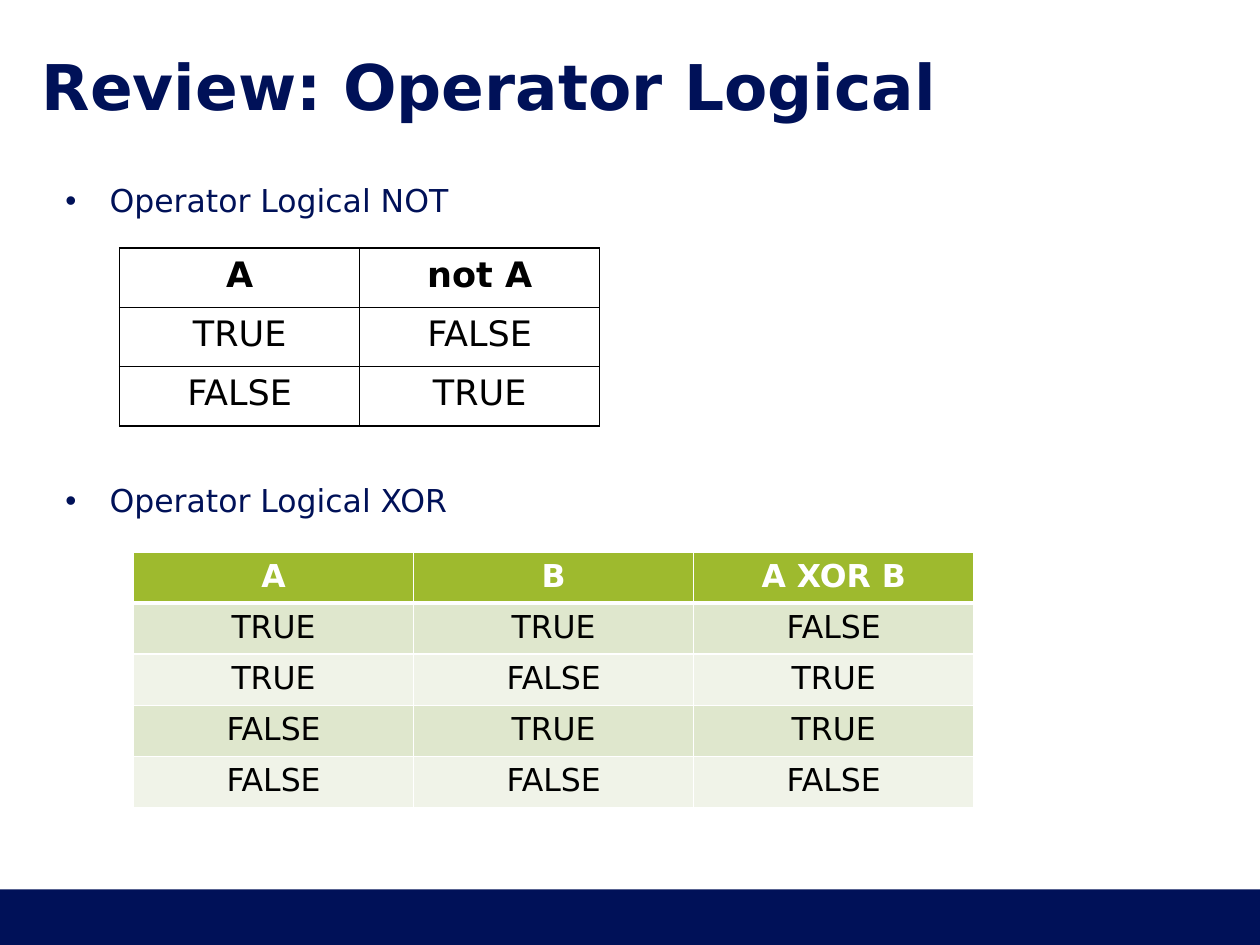
"""Build the logical operator review slide with its two truth tables."""
from dataclasses import dataclass

from lxml.etree import SubElement
from pptx import Presentation
from pptx.dml.color import RGBColor as Rgb
from pptx.enum.shapes import MSO_SHAPE as Preset
from pptx.enum.text import MSO_ANCHOR as Anchor, MSO_AUTO_SIZE as AutoSize, PP_ALIGN as Align
from pptx.oxml.ns import qn
from pptx.util import Inches, Pt

FONT = "DejaVu Sans"
COLORS = {
    "navy": "001158", "black": "000000", "white": "FFFFFF",
    "green": "9EBA2E", "sage": "DFE7CD", "pale": "F0F3E8",
}


@dataclass(frozen=True)
class TruthTable:
    left: float
    top: float
    column_width: float
    row_height: float
    size: int
    space_before: int
    border: str
    header_text: str
    header_border: int
    fills: tuple
    rows: tuple


TABLES = (
    TruthTable(0.95, 1.97, 1.905, 0.47, 20, 4, "black", "black", 1, (),
               (("A", "not A"), ("TRUE", "FALSE"), ("FALSE", "TRUE"))),
    TruthTable(1.06, 4.38, 2.223, 0.406, 18, 0, "white", "white", 3,
               ("green", "sage", "pale", "sage", "pale"),
               (("A", "B", "A XOR B"), ("TRUE", "TRUE", "FALSE"),
                ("TRUE", "FALSE", "TRUE"), ("FALSE", "TRUE", "TRUE"),
                ("FALSE", "FALSE", "FALSE"))),
)


def set_all(target, values: dict) -> None:
    for name, value in values.items():
        setattr(target, name, value)


def write(para, text: str, size: int, color: str, bold: bool = False) -> None:
    span = para.add_run()
    span.text = text
    set_all(span.font, {"name": FONT, "size": Pt(size), "bold": bold})
    span.font.color.rgb = Rgb.from_string(COLORS[color])


def place(box, left: float, top: float, width: float, height: float) -> None:
    set_all(box, {"left": Inches(left), "top": Inches(top),
                  "width": Inches(width), "height": Inches(height)})


def set_frame(box, anchor, left: float, top: float, right: float) -> None:
    set_all(box.text_frame, {
        "auto_size": AutoSize.NONE, "word_wrap": True, "vertical_anchor": anchor,
        "margin_left": Inches(left), "margin_top": Inches(top),
        "margin_right": Inches(right), "margin_bottom": 0,
    })


def add_bullet(para) -> None:
    props = para._p.get_or_add_pPr()
    set_all(para, {"line_spacing": 0.9, "space_after": Pt(4.5), "alignment": Align.LEFT})
    props.set("marL", str(Inches(0.48)))
    props.set("indent", str(Inches(-0.35)))
    tint = SubElement(props, qn("a:buClr"))
    SubElement(tint, qn("a:srgbClr"), val=COLORS["navy"])
    SubElement(props, qn("a:buFont"), typeface="Arial")
    SubElement(props, qn("a:buChar"), char="•")


def add_borders(cell, color: str, widths: dict) -> None:
    props = cell._tc.get_or_add_tcPr()
    for side, width in widths.items():
        line = SubElement(props, qn(f"a:ln{side}"), w=str(Pt(width)))
        fill = SubElement(line, qn("a:solidFill"))
        SubElement(fill, qn("a:srgbClr"), val=COLORS[color])


def add_truth_table(page, plan: TruthTable) -> None:
    rows, columns = len(plan.rows), len(plan.rows[0])
    table = page.shapes.add_table(
        rows, columns, Inches(plan.left), Inches(plan.top),
        Inches(plan.column_width * columns), Inches(plan.row_height * rows)).table
    set_all(table, {"first_row": False, "horz_banding": False})
    for r, words in enumerate(plan.rows):
        for c, word in enumerate(words):
            cell = table.cell(r, c)
            para = cell.text_frame.paragraphs[0]
            set_all(para, {"alignment": Align.CENTER, "space_before": Pt(plan.space_before)})
            write(para, word, plan.size, "black" if r else plan.header_text, r == 0)
            add_borders(cell, plan.border, {
                "L": 1, "R": 1, "T": plan.header_border if r == 1 else 1,
                "B": plan.header_border if r == 0 else 1})
            if plan.fills:
                cell.fill.solid()
                cell.fill.fore_color.rgb = Rgb.from_string(COLORS[plan.fills[r]])
            else:
                cell.fill.background()


def main() -> None:
    deck = Presentation()
    set_all(deck, {"slide_width": Inches(10), "slide_height": Inches(7.5)})
    page = deck.slides.add_slide(deck.slide_layouts[1])

    band = page.shapes.add_shape(Preset.RECTANGLE, 0, Inches(7.06), Inches(10), Inches(0.44))
    band.shadow.inherit = False
    band.fill.solid()
    band.fill.fore_color.rgb = Rgb.from_string(COLORS["navy"])
    band.line.fill.background()

    title = page.shapes.title
    place(title, 0.33, 0.44, 9.34, 0.47)
    set_frame(title, Anchor.MIDDLE, 0, 0, 0.05)
    heading = title.text_frame.paragraphs[0]
    heading.alignment = Align.LEFT
    write(heading, "Review: Operator Logical", 36, "navy", True)

    body = page.placeholders[1]
    place(body, 0.33, 1.37, 9.34, 5.24)
    set_frame(body, Anchor.TOP, 0.06, 0.1, 0)
    first = body.text_frame.paragraphs[0]
    second = body.text_frame.add_paragraph()
    for para, name, gap in ((first, "NOT", 4.5), (second, "XOR", 147.5)):
        para.space_before = Pt(gap)
        add_bullet(para)
        write(para, f"Operator Logical {name}", 18, "navy")

    for plan in TABLES:
        add_truth_table(page, plan)
    deck.save("out.pptx")


main()
